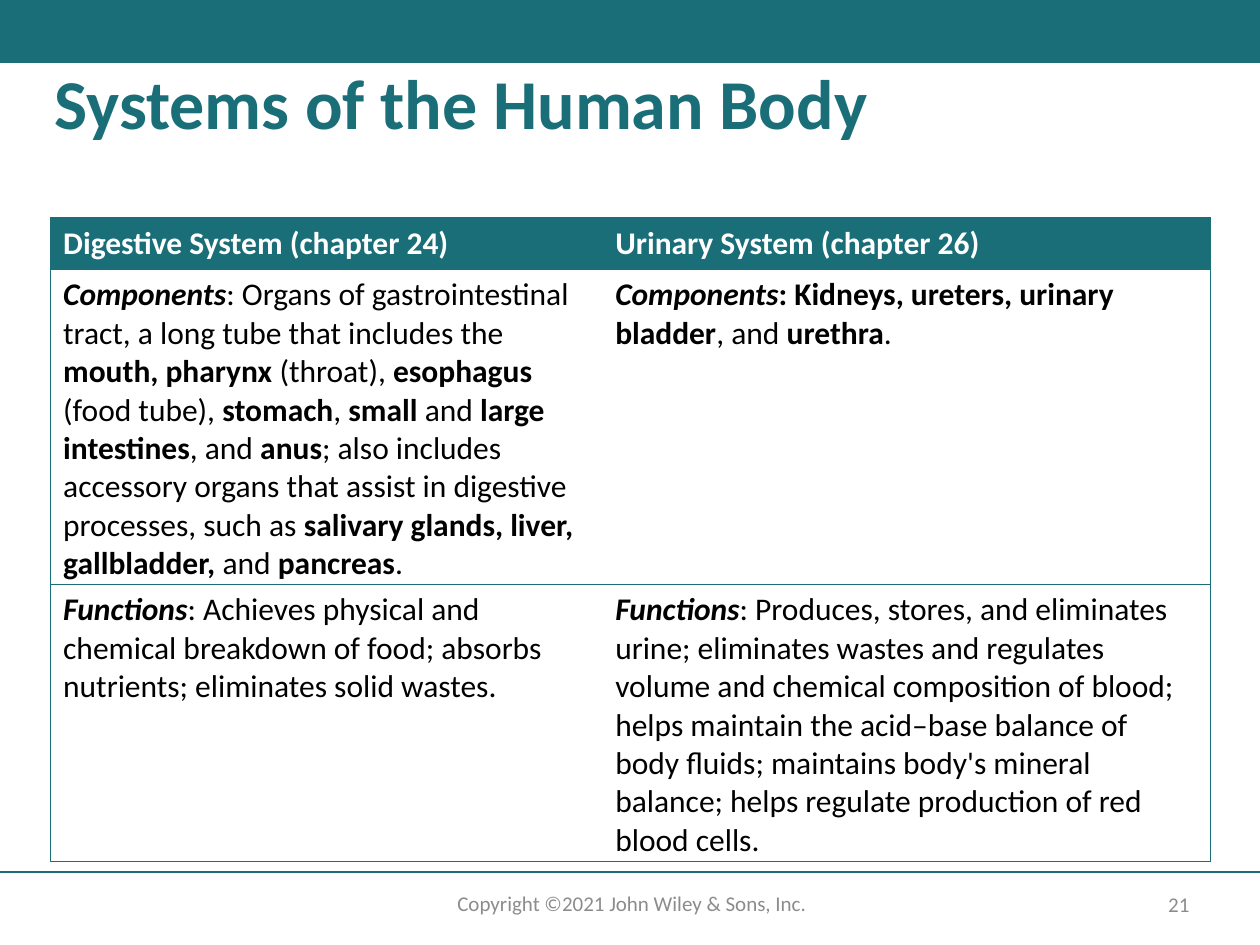
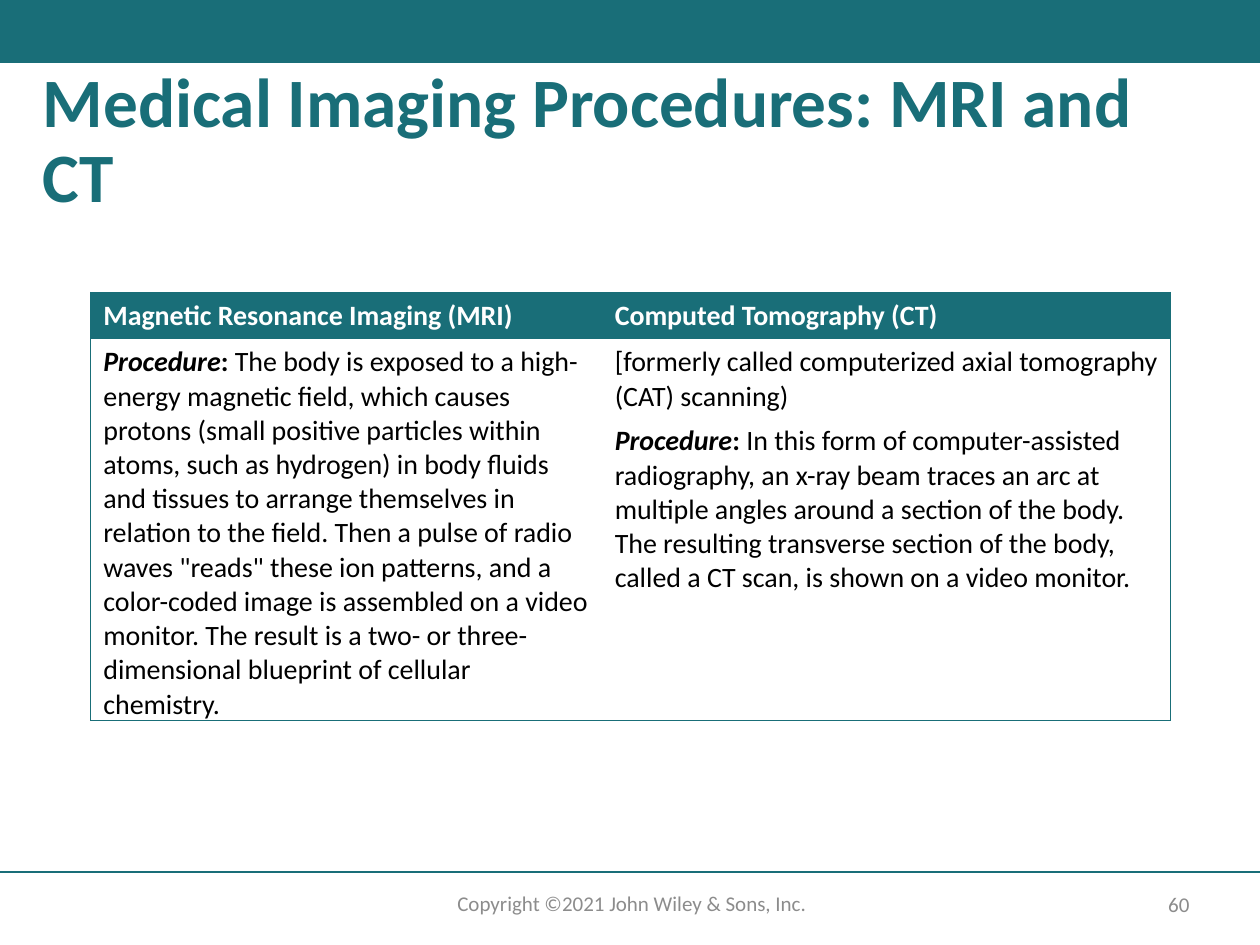
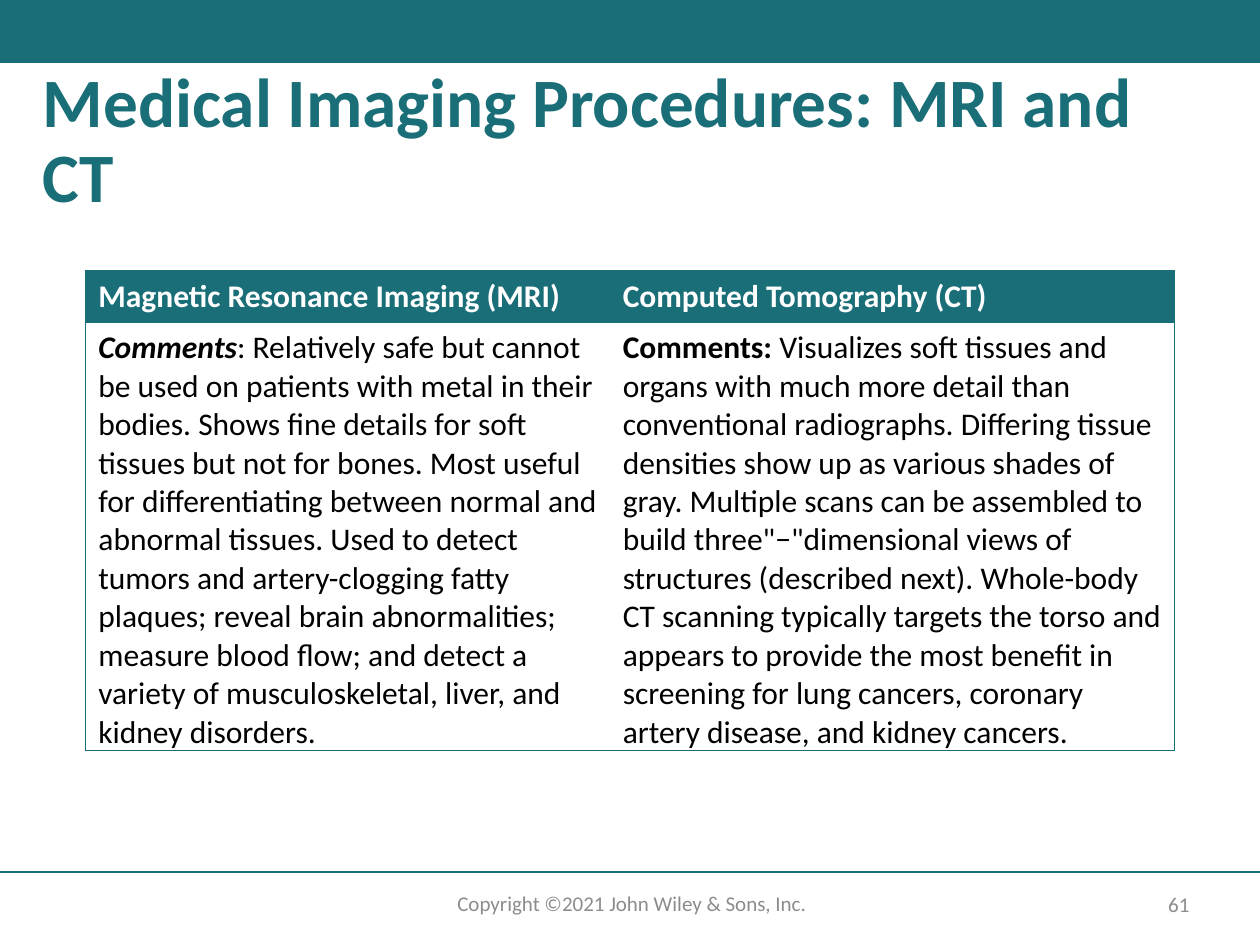
from lxml.etree import SubElement
from pptx import Presentation
from pptx.dml.color import RGBColor
from pptx.enum.shapes import MSO_CONNECTOR as Connector, MSO_SHAPE as Shape
from pptx.enum.text import MSO_ANCHOR as Anchor, MSO_AUTO_SIZE as AutoSize, PP_ALIGN as Align
from pptx.oxml.ns import qn
from pptx.util import Cm, Pt

TEAL, GREY, BLACK, WHITE = "196E78", "8C8C8C", "000000", "FFFFFF"
FONT = "Calibri"
WIDTH, HEIGHT = 25.4, 19.05
BORDER_WIDTH = Pt(0.5)
COPYRIGHT = "Copyright ©2021 John Wiley & Sons, Inc."


def rgb(color):
    return RGBColor.from_string(color)


def plain(text):
    return text, False, False


def bold(text):
    return text, True, False


def lead(text):
    """A bold italic run that opens a paragraph."""
    return text, True, True


def add_runs(paragraph, runs, size, color):
    for text, is_bold, is_italic in runs:
        run = paragraph.add_run()
        run.text = text
        font = run.font
        font.name, font.size = FONT, Pt(size)
        font.bold, font.italic = is_bold, is_italic
        font.color.rgb = rgb(color)


def set_border(cell, side, visible):
    line = SubElement(cell._tc.get_or_add_tcPr(), qn(f"a:ln{side}"), w=str(BORDER_WIDTH))
    if visible:
        SubElement(SubElement(line, qn("a:solidFill")), qn("a:srgbClr"), val=TEAL)
    else:
        SubElement(line, qn("a:noFill"))


class Deck:
    """Holds the shared style and the slide being built."""

    def __init__(self):
        self.presentation = Presentation()
        self.presentation.slide_width = Cm(WIDTH)
        self.presentation.slide_height = Cm(HEIGHT)
        self.slide = None

    def add_slide(self, page, title, title_box, title_size):
        self.slide = self.presentation.slides.add_slide(self.presentation.slide_layouts[5])
        self.add_band()
        self.add_footer_rule()
        self.add_footer(COPYRIGHT, 8.18, 17.83, 9.12, 0.76, Anchor.TOP)
        self.add_footer(str(page), 22.99, 17.88, 1.55, 0.71, Anchor.MIDDLE)
        self.set_title(title, title_box, title_size)

    def add_band(self):
        band = self.slide.shapes.add_shape(Shape.RECTANGLE, 0, 0, Cm(WIDTH), Cm(1.27))
        band.shadow.inherit = False
        band.fill.solid()
        band.fill.fore_color.rgb = rgb(TEAL)
        band.line.fill.background()

    def add_footer_rule(self):
        top = Cm(17.58)
        rule = self.slide.shapes.add_connector(Connector.STRAIGHT, 0, top, Cm(WIDTH), top)
        rule.line.color.rgb = rgb(TEAL)
        rule.line.width = Pt(1)
        SubElement(rule.element.spPr, qn("a:effectLst"))

    def add_footer(self, text, left, top, width, height, anchor):
        footer = self.slide.shapes.add_textbox(Cm(left), Cm(top), Cm(width), Cm(height))
        frame = footer.text_frame
        frame.word_wrap = True
        frame.vertical_anchor = anchor
        paragraph = frame.paragraphs[0]
        paragraph.alignment = Align.CENTER
        add_runs(paragraph, [plain(text)], 12, GREY)

    def set_title(self, text, box, size):
        title = self.slide.shapes.title
        title.left, title.top, title.width, title.height = map(Cm, box)
        frame = title.text_frame
        frame.auto_size = AutoSize.NONE
        frame.vertical_anchor = Anchor.TOP
        paragraph = frame.paragraphs[0]
        paragraph.alignment = Align.LEFT
        paragraph.line_spacing = 0.9
        add_runs(paragraph, [bold(text)], size, TEAL)

    def add_comparison(self, left, top, widths, heights, size, headings, body):
        """Add a table; each body cell is a list of paragraphs, each a list of runs."""
        rows = [[[[bold(heading)]] for heading in headings], *body]
        table = self.slide.shapes.add_table(
            len(rows), len(widths), Cm(left), Cm(top), Cm(sum(widths)), Cm(sum(heights))
        ).table
        table.first_row = table.horz_banding = False
        for column, width in zip(table.columns, widths):
            column.width = Cm(width)
        for row, height in zip(table.rows, heights):
            row.height = Cm(height)
        for r, row in enumerate(rows):
            for c, paragraphs in enumerate(row):
                self.fill_cell(table.cell(r, c), paragraphs, size, r == 0,
                               c == 0, c == len(widths) - 1)

    def fill_cell(self, cell, paragraphs, size, is_heading, is_first, is_last):
        for side, visible in (("L", is_first), ("R", is_last), ("T", True), ("B", True)):
            set_border(cell, side, visible)
        if is_heading:
            cell.fill.solid()
            cell.fill.fore_color.rgb = rgb(TEAL)
        else:
            cell.fill.background()
        frame = cell.text_frame
        for i, runs in enumerate(paragraphs):
            paragraph = frame.add_paragraph() if i else frame.paragraphs[0]
            if i < len(paragraphs) - 1:
                paragraph.space_after = Pt(6)
            add_runs(paragraph, runs, size, WHITE if is_heading else BLACK)


def main():
    deck = Deck()

    deck.add_slide(21, "Systems of the Human Body", (0.84, 1.27, 23.7, 2.34), 40)
    digestive_components = [
        lead("Components"),
        plain(": Organs of gastrointestinal tract, a long tube that includes the "),
        bold("mouth, pharynx "), plain("(throat), "),
        bold("esophagus "), plain("(food tube), "),
        bold("stomach"), plain(", "),
        bold("small "), plain("and"),
        bold(" large intestines"), plain(", and "),
        bold("anus"),
        plain("; also includes accessory organs that assist in digestive processes, such as "),
        bold("salivary glands, liver, gallbladder, "), plain("and"),
        bold(" pancreas"), plain("."),
    ]
    urinary_components = [
        lead("Components"), bold(": Kidneys, ureters, urinary bladder"),
        plain(", and "), bold("urethra"), plain("."),
    ]
    digestive_functions = [
        lead("Functions"),
        plain(": Achieves physical and chemical breakdown of food; absorbs nutrients; "
              "eliminates solid wastes."),
    ]
    urinary_functions = [
        lead("Functions"),
        plain(": Produces, stores, and eliminates urine; eliminates wastes and regulates "
              "volume and chemical composition of blood; helps maintain the acid–base "
              "balance of body fluids; maintains body's mineral balance; helps regulate "
              "production of red blood cells."),
    ]
    deck.add_comparison(
        1.02, 4.39, (11.13, 12.24), (1.04, 6.35, 5.59), 18,
        ("Digestive System (chapter 24)", "Urinary System (chapter 26)"),
        [[[digestive_components], [urinary_components]],
         [[digestive_functions], [urinary_functions]]],
    )

    imaging_title = "Medical Imaging Procedures: MRI and CT"
    imaging_headings = ("Magnetic Resonance Imaging (MRI)", "Computed Tomography (CT)")

    deck.add_slide(60, imaging_title, (0.61, 1.24, 23.7, 2.82), 39.6)
    mri_procedure = [
        lead("Procedure"), bold(": "),
        plain("The body is exposed to a high-energy magnetic field, which causes protons "
              "(small positive particles within atoms, such as hydrogen) in body fluids and "
              "tissues to arrange themselves in relation to the field. Then a pulse of radio "
              "waves \"reads\" these ion patterns, and a color-coded image is assembled on a "
              "video monitor. The result is a two- or three- dimensional blueprint of "
              "cellular chemistry."),
    ]
    ct_former_name = [plain("[formerly called computerized axial tomography (CAT) scanning)")]
    ct_procedure = [
        lead("Procedure"), bold(": "),
        plain("In this form of computer-assisted radiography, an x-ray beam traces an arc at "
              "multiple angles around a section of the body. The resulting transverse section "
              "of the body, called a CT scan, is shown on a video monitor."),
    ]
    deck.add_comparison(
        1.83, 5.89, (10.31, 11.46), (0.94, 7.65), 16, imaging_headings,
        [[[mri_procedure], [ct_former_name, ct_procedure]]],
    )

    deck.add_slide(61, imaging_title, (0.61, 1.24, 23.7, 3.1), 39.6)
    mri_comments = [
        lead("Comments"),
        plain(": Relatively safe but cannot be used on patients with metal in their bodies. "
              "Shows fine details for soft tissues but not for bones. Most useful for "
              "differentiating between normal and abnormal tissues. Used to detect tumors and "
              "artery-clogging fatty plaques; reveal brain abnormalities; measure blood flow; "
              "and detect a variety of musculoskeletal, liver, and kidney disorders."),
    ]
    ct_comments = [
        bold("Comments: "),
        plain("Visualizes soft tissues and organs with much more detail than conventional "
              "radiographs. Differing tissue densities show up as various shades of gray. "
              "Multiple scans can be assembled to build three\"−\"dimensional views of "
              "structures (described next). Whole-body CT scanning typically targets the "
              "torso and appears to provide the most benefit in screening for lung cancers, "
              "coronary artery disease, and kidney cancers."),
    ]
    deck.add_comparison(
        1.73, 5.46, (10.57, 11.38), (1.04, 8.61), 18, imaging_headings,
        [[[mri_comments], [ct_comments]]],
    )

    deck.presentation.save("out.pptx")


if __name__ == "__main__":
    main()
